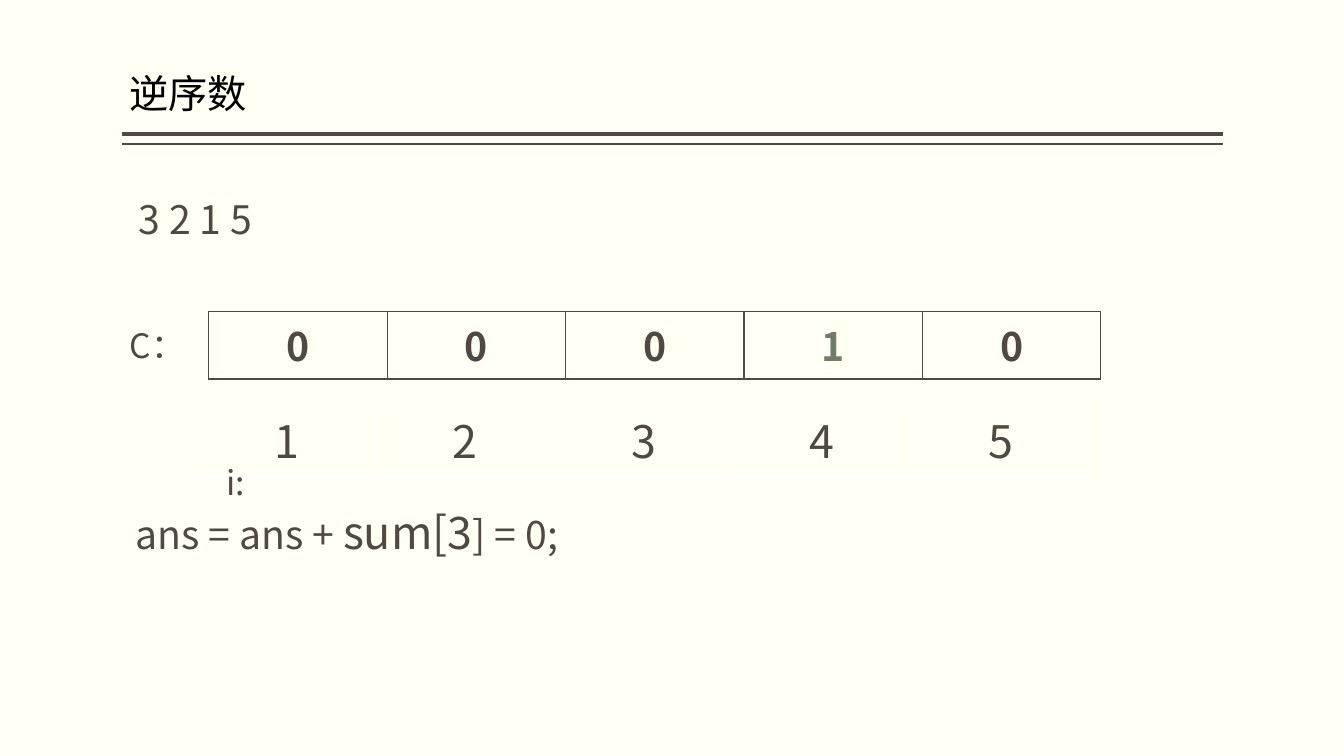
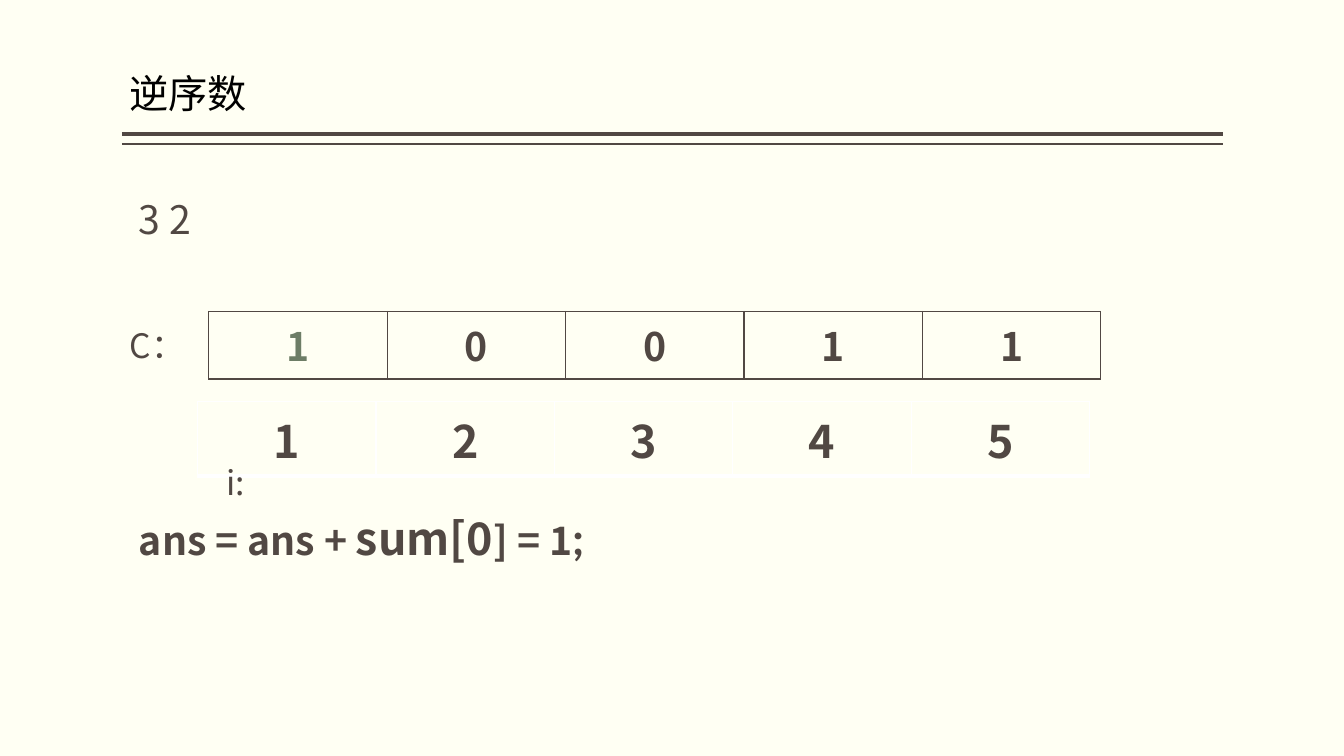
from lxml import etree
from pptx import Presentation
from pptx import util as u
from pptx.dml.color import RGBColor
from pptx.enum import shapes, text
from pptx.oxml import ns

COLORS = {"paper": "FFFFF3", "ink": "514843", "title": "000000",
          "accent": "6D7D66", "grid": "FFFFFF"}
FONT = "Noto Sans CJK SC"
COLUMN, ROW = 1.77, 0.67


def rgb(name):
    return RGBColor.from_string(COLORS[name])


class Deck:
    def __init__(self):
        self.prs = Presentation()
        self.prs.slide_width = u.Inches(13.33)
        self.prs.slide_height = u.Inches(7.5)
        background = self.prs.slide_master.background.fill
        background.solid()
        background.fore_color.rgb = rgb("paper")
        self.slide = None

    def add_slide(self, title):
        self.slide = self.prs.slides.add_slide(self.prs.slide_layouts[6])
        self.rule(1.33, 3)
        self.rule(1.43, 1)
        heading = self.text(1.28, 0.59, 9.83, 0.62, [(title, {"color": "title"})],
                            margin_left=0, margin_right=0,
                            vertical_anchor=text.MSO_ANCHOR.BOTTOM,
                            auto_size=text.MSO_AUTO_SIZE.NONE)
        heading.paragraphs[0].line_spacing = 0.9

    def rule(self, y, weight):
        line = self.slide.shapes.add_connector(
            shapes.MSO_CONNECTOR.STRAIGHT,
            u.Inches(1.21), u.Inches(y), u.Inches(12.13), u.Inches(y))
        line.line.color.rgb = rgb("ink")
        line.line.width = u.Pt(weight)
        etree.SubElement(line._element.spPr, ns.qn("a:effectLst"))

    def run(self, paragraph, words, size=28, color="ink", bold=False, name=FONT):
        run = paragraph.add_run()
        run.text = words
        formats = {"size": u.Pt(size), "bold": bold, "name": name}
        for key, value in formats.items():
            setattr(run.font, key, value)
        run.font.color.rgb = rgb(color)
        latin = run._r.rPr.find(ns.qn("a:latin"))
        east_asian = etree.Element(ns.qn("a:ea"), typeface=FONT)
        latin.addnext(east_asian)

    def text(self, x, y, width, height, runs, **formats):
        box = self.slide.shapes.add_textbox(
            u.Inches(x), u.Inches(y), u.Inches(width), u.Inches(height))
        frame = box.text_frame
        settings = {"word_wrap": True,
                    "auto_size": text.MSO_AUTO_SIZE.SHAPE_TO_FIT_TEXT, **formats}
        for key, value in settings.items():
            setattr(frame, key, value)
        for words, style in runs:
            self.run(frame.paragraphs[0], words, **style)
        return frame

    def border(self, cell, color, bottom):
        properties = cell._tc.get_or_add_tcPr()
        for index, (side, weight) in enumerate(
                [("lnL", 1), ("lnR", 1), ("lnT", 1), ("lnB", bottom)]):
            line = etree.Element(ns.qn(f"a:{side}"), w=str(u.Pt(weight)))
            fill = etree.SubElement(line, ns.qn("a:solidFill"))
            etree.SubElement(fill, ns.qn("a:srgbClr"), val=COLORS[color])
            properties.insert(index, line)

    def row(self, x, y, values, border="ink", bottom=1, accent=None, **style):
        table = self.slide.shapes.add_table(
            1, len(values), u.Inches(x), u.Inches(y),
            u.Inches(COLUMN * len(values)), u.Inches(ROW)).table
        table.first_row = table.horz_banding = False
        for index, value in enumerate(values):
            cell = table.cell(0, index)
            cell.fill.background()
            self.border(cell, border, bottom)
            paragraph = cell.text_frame.paragraphs[0]
            paragraph.alignment = text.PP_ALIGN.CENTER
            color = "accent" if index == accent else "ink"
            self.run(paragraph, str(value), color=color, **style)

    def step(self, sequence, counts, added, formula, position, bold=False):
        self.add_slide("逆序数")
        self.row(2.07, 3.09, counts, accent=added, bold=True)
        self.row(1.96, 3.98, range(1, len(counts) + 1), border="grid", bottom=3,
                 size=32, bold=bold)
        self.text(1.28, 1.89, 8.99, 0.57, [(sequence, {})])
        self.text(1.19, 3.17, 1, 0.5, [("C：", {"size": 24})])
        self.text(2.15, 4.53, 0.83, 0.5, [("i:", {"size": 24})])
        runs = [(words, {"bold": bold, **style}) for words, style in formula]
        self.text(*position, 9.01, 0.64, runs)


def main():
    deck = Deck()
    large = {"size": 32}
    deck.step("3 2 1 5", [0, 0, 0, 1, 0], 3,
              [("ans = ans + ", {}), ("sum[3", large), ("] = 0;", {})],
              (1.25, 4.96))
    deck.step("3 2", [1, 0, 0, 1, 1], 0,
              [("ans = ans + ", {}), ("sum[0", large), ("] = 1", {}),
               (";", {"size": 32, "name": "Lato"})],
              (1.28, 5.02), bold=True)
    deck.prs.save("out.pptx")


if __name__ == "__main__":
    main()
